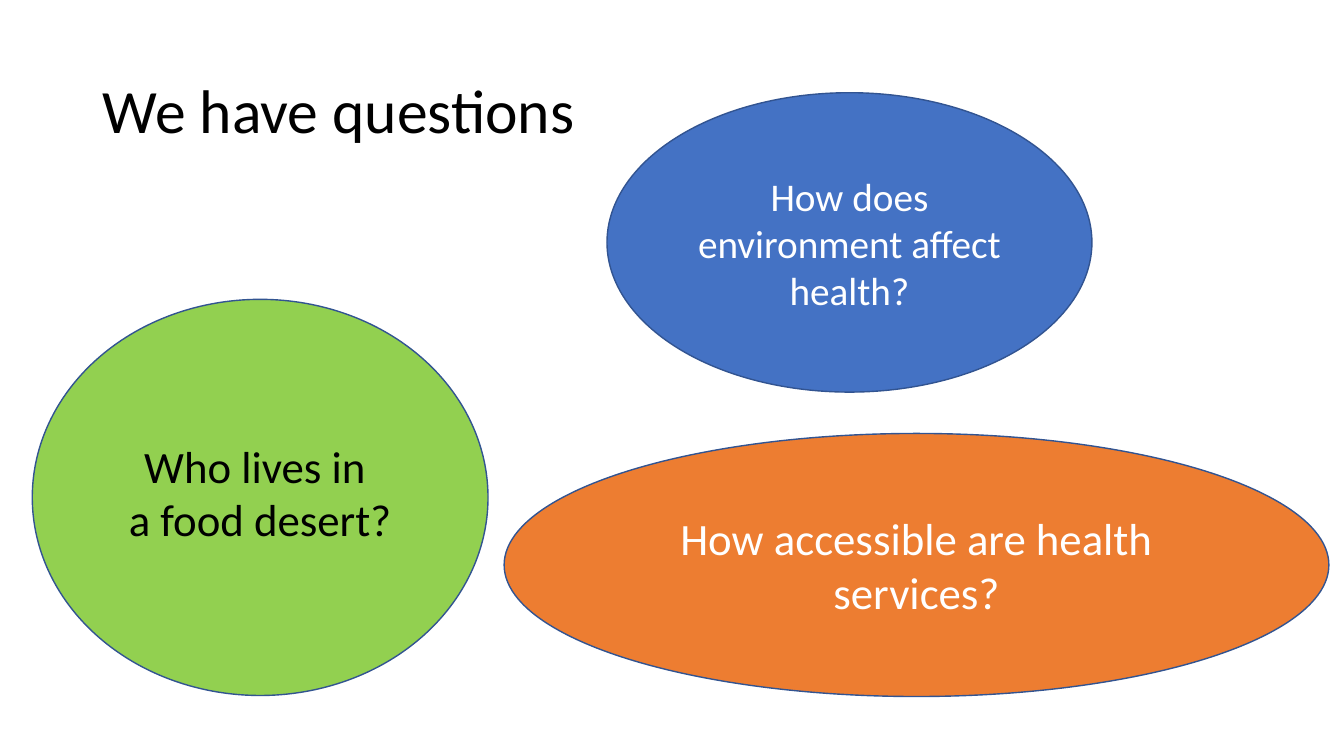
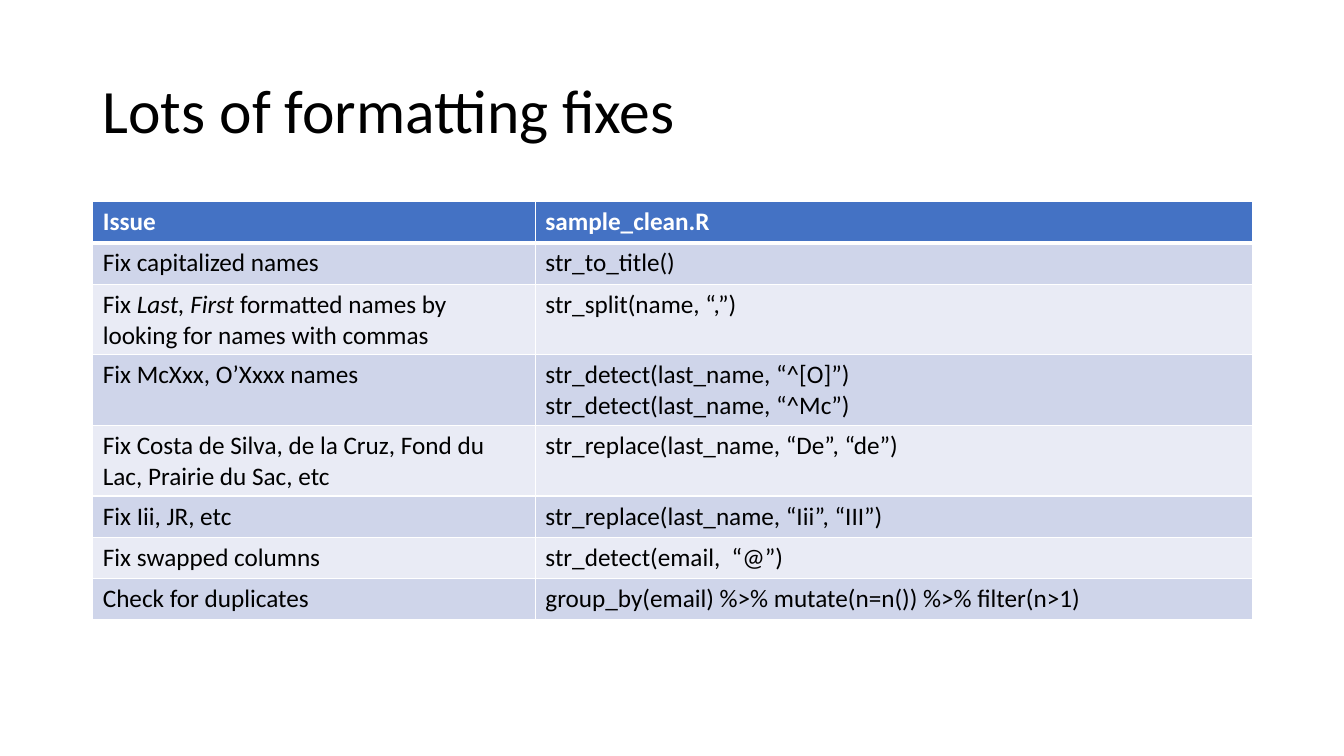
from lxml import etree
from pptx import Presentation
from pptx.dml.color import RGBColor
from pptx.enum.shapes import MSO_SHAPE
from pptx.enum.text import MSO_ANCHOR, PP_ALIGN
from pptx.oxml import parse_xml
from pptx.oxml.ns import nsdecls
from pptx.util import Pt

PX = 9144  # 100 px to the inch
OVAL = MSO_SHAPE.OVAL
MIDDLE = MSO_ANCHOR.MIDDLE
LEFT, CENTER = PP_ALIGN.LEFT, PP_ALIGN.CENTER
FONT = "Calibri"
HEX = {
    "black": "000000", "white": "FFFFFF", "blue": "4472C4", "edge": "325491",
    "green": "92D050", "orange": "ED7D31", "dark": "CFD5EA", "light": "E9EBF5",
}
COLOR = {name: RGBColor.from_string(code) for name, code in HEX.items()}


def style(para, size, color, align=LEFT, bold=False):
    para.alignment = align
    font = para.font
    font.name, font.size, font.bold = FONT, Pt(size), bold
    font.color.rgb = COLOR[color]


def add_title(slide, text):
    box = slide.shapes.add_textbox(92 * PX, 40 * PX, 1150 * PX, 145 * PX)
    frame = box.text_frame
    frame.word_wrap = True
    frame.vertical_anchor = MIDDLE
    frame.text = text
    para = frame.paragraphs[0]
    para.line_spacing = 0.9
    style(para, 44, "black")


deck = Presentation()
deck.slide_width, deck.slide_height = 1333 * PX, 750 * PX
blank = deck.slide_layouts[6]

# Slide 1: questions in ovals
slide = deck.slides.add_slide(blank)
ovals = [
    ((32, 297, 452, 393), "green", "", 32),
    ((500, 430, 818, 261), "orange", "How accessible are health services?", 32),
    ((602, 92, 481, 297), "blue", "How does environment affect health?", 28),
]
for place, fill, text, size in ovals:
    oval = slide.shapes.add_shape(OVAL, *(n * PX for n in place))
    oval.shadow.inherit = False
    oval.fill.solid()
    oval.fill.fore_color.rgb = COLOR[fill]
    oval.line.color.rgb = COLOR["edge"]
    oval.line.width = Pt(1)
    if text:
        frame = oval.text_frame
        frame.word_wrap = True
        frame.vertical_anchor = MIDDLE
        frame.text = text
        style(frame.paragraphs[0], size, "white", CENTER)

add_title(slide, "We have questions")
label = slide.shapes.add_textbox(55 * PX, 430 * PX, 406 * PX, 118 * PX)
label.text_frame.word_wrap = True
label.text_frame.text = "Who lives in \na food desert?"
for para in label.text_frame.paragraphs:
    style(para, 32, "black", CENTER)

# Slide 2: table of fixes; a list holds runs, with every second one italic
slide = deck.slides.add_slide(blank)
add_title(slide, "Lots of formatting fixes")
rows = [
    ("Issue", "sample_clean.R"),
    ("Fix capitalized names", "str_to_title()"),
    (["Fix ", "Last, First ", "formatted names by looking for names with commas"],
     "str_split(name, “,”)"),
    ("Fix McXxx, O’Xxxx names",
     "str_detect(last_name, “^[O]”)\nstr_detect(last_name, “^Mc”)"),
    ("Fix Costa de Silva, de la Cruz, Fond du Lac, Prairie du Sac, etc",
     "str_replace(last_name, “De”, “de”)"),
    ("Fix Iii, JR, etc", "str_replace(last_name, “Iii”, “III”)"),
    ("Fix swapped columns", "str_detect(email,  “@”)"),
    ("Check for duplicates", "group_by(email) %>% mutate(n=n()) %>% filter(n>1)"),
]
widths = [439, 711]
high = 41
table = slide.shapes.add_table(
    len(rows), len(widths), 92 * PX, 200 * PX, sum(widths) * PX, len(rows) * high * PX
).table
for col, width in zip(table.columns, widths):
    col.width = width * PX

for r, row in enumerate(rows):
    head = r == 0
    fill = "blue" if head else "dark" if r % 2 else "light"
    for c, text in enumerate(row):
        cell = table.cell(r, c)
        frame = cell.text_frame
        if isinstance(text, list):
            for i, part in enumerate(text):
                run = frame.paragraphs[0].add_run()
                run.text = part
                run.font.italic = i % 2 == 1
        else:
            frame.text = text
        for para in frame.paragraphs:
            style(para, 18, "white" if head else "black", bold=head)
        props = cell._tc.get_or_add_tcPr()
        for side in "LRTB":
            thick = (head and side == "B") or (r == 1 and side == "T")
            line = parse_xml(f'<a:ln{side} {nsdecls("a")} w="{Pt(3 if thick else 1)}"/>')
            solid = etree.SubElement(line, line.tag.replace(f"ln{side}", "solidFill"))
            etree.SubElement(solid, solid.tag.replace("solidFill", "srgbClr"), val=HEX["white"])
            props.append(line)
        cell.fill.solid()
        cell.fill.fore_color.rgb = COLOR[fill]

deck.save("out.pptx")
